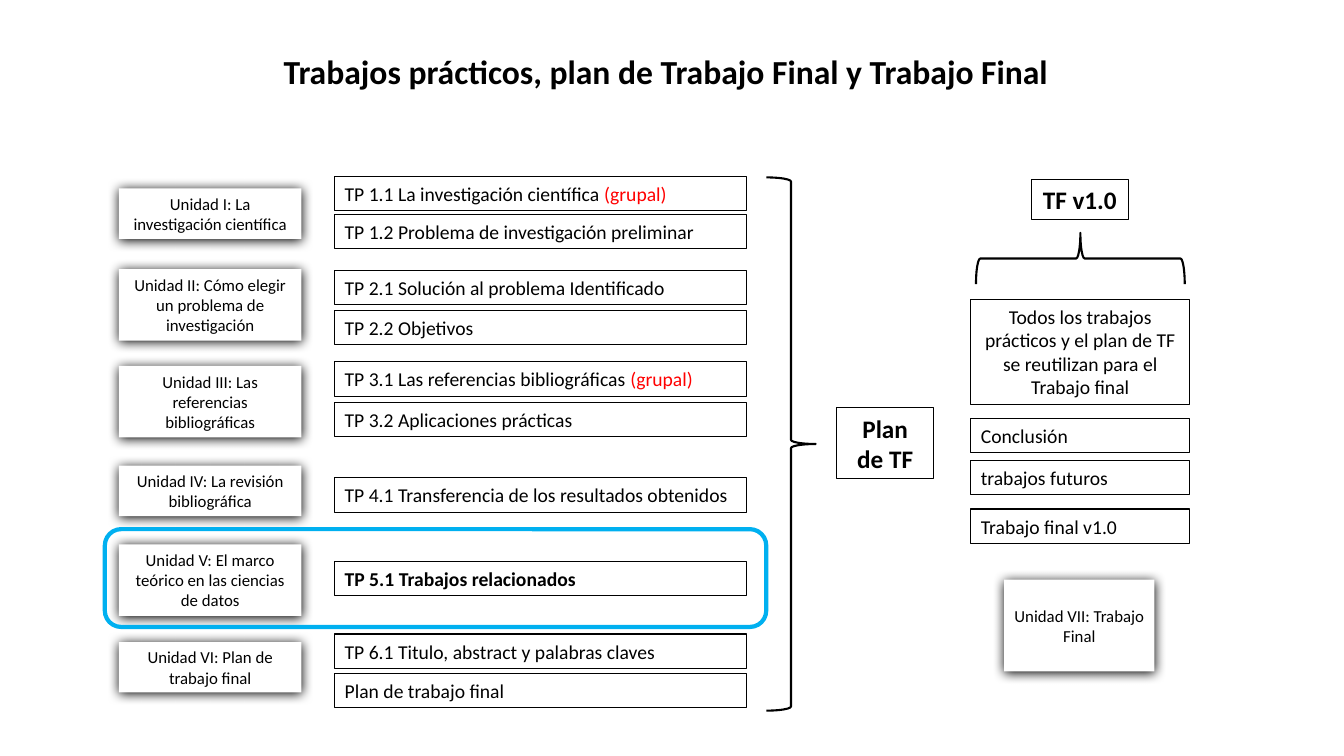
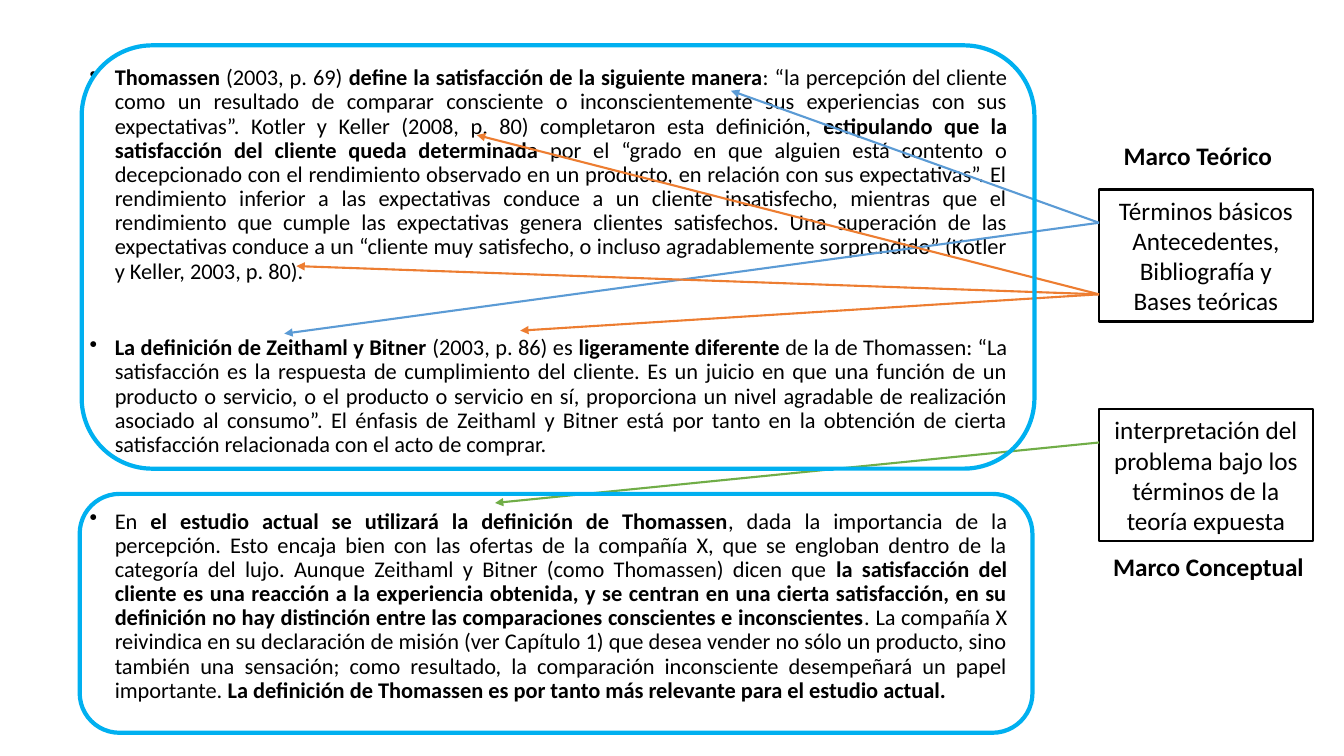
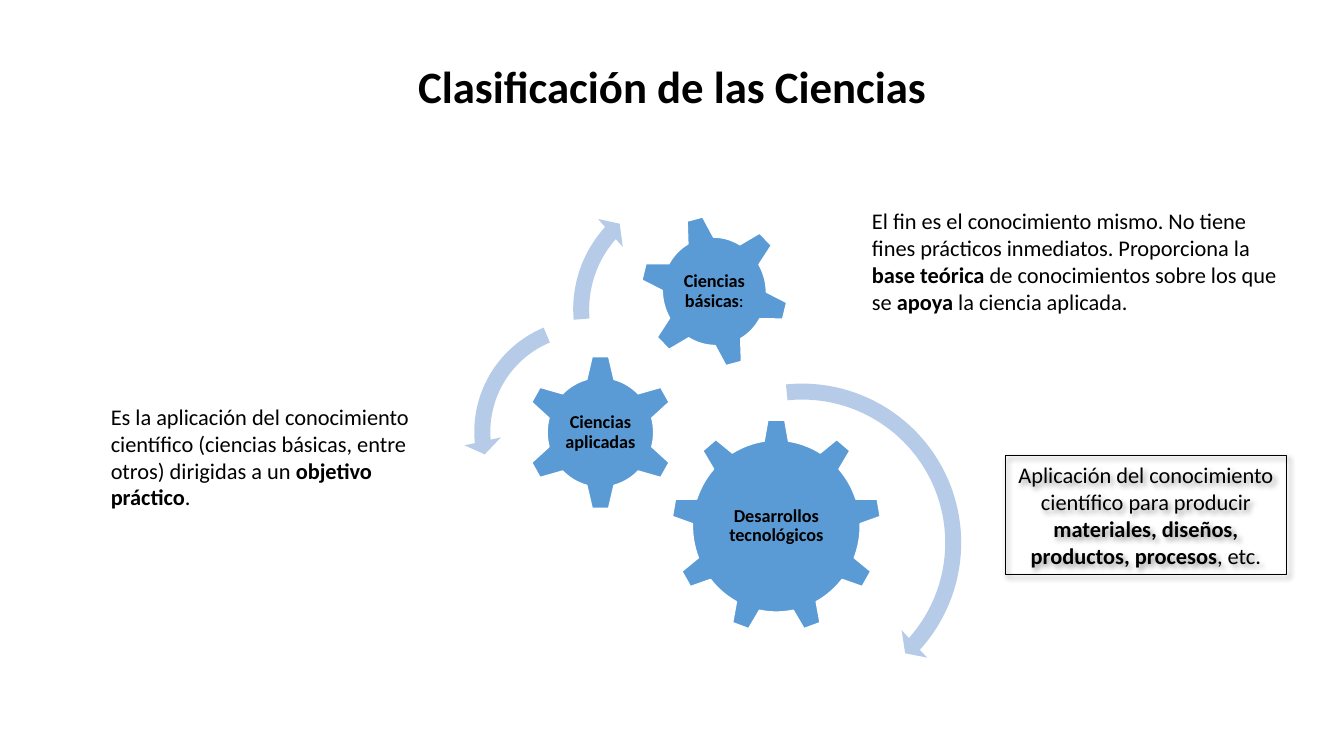
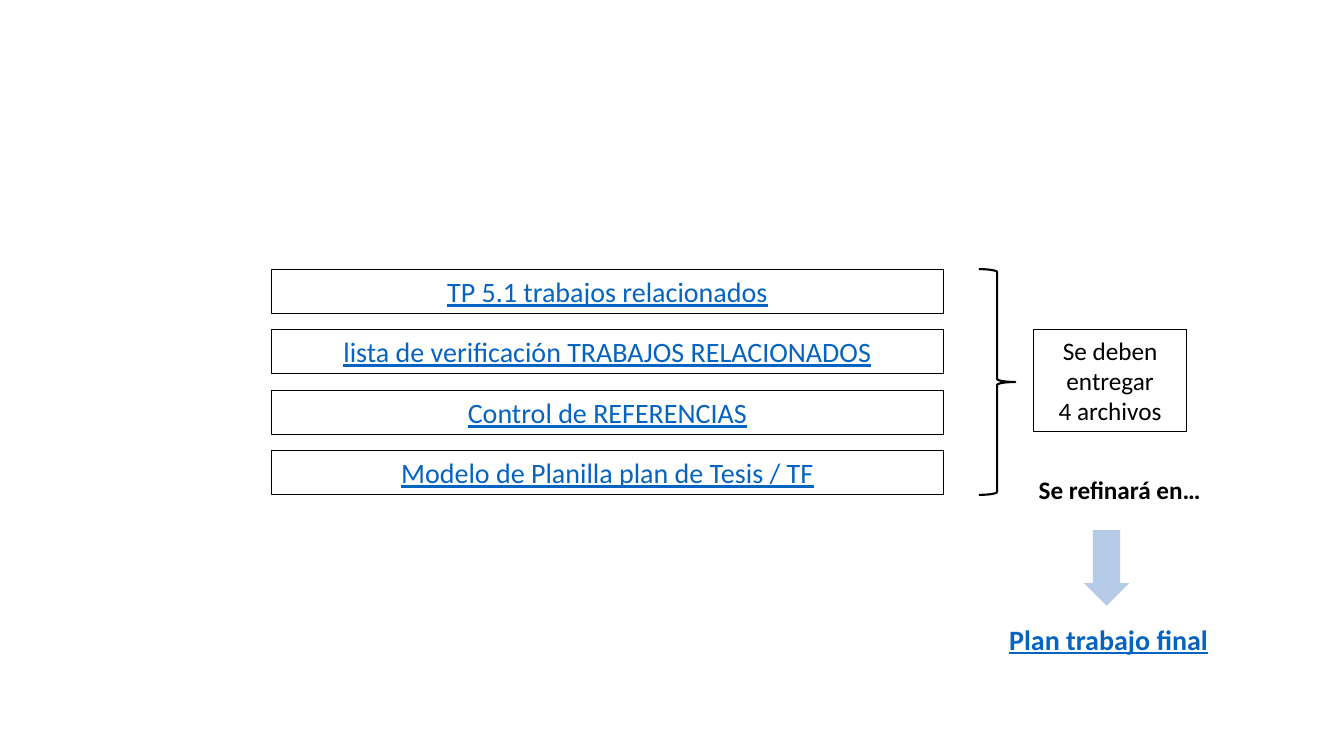
from collections import namedtuple

from lxml.etree import SubElement
from pptx import Presentation
from pptx.dml.color import RGBColor
from pptx.enum.shapes import MSO_CONNECTOR, MSO_SHAPE
from pptx.enum.text import MSO_ANCHOR, MSO_AUTO_SIZE, PP_ALIGN
from pptx.oxml.ns import qn
from pptx.util import Inches, Pt

FONT = "Calibri"
BLACK = RGBColor(0x00, 0x00, 0x00)
WHITE = RGBColor(0xFF, 0xFF, 0xFF)
RED = RGBColor(0xFF, 0x00, 0x00)
FRAME_BLUE = RGBColor(0x00, 0xB0, 0xF0)
BLUE = RGBColor(0x5B, 0x9B, 0xD5)
PALE_BLUE = RGBColor(0xB5, 0xCB, 0xE7)
ORANGE = RGBColor(0xED, 0x7D, 0x31)
GREEN = RGBColor(0x70, 0xAD, 0x47)
LINK_BLUE = RGBColor(0x05, 0x63, 0xC1)

TITLE_ONLY, BLANK = 5, 6

Run = namedtuple("Run", "text bold color underline", defaults=(False, BLACK, False))


def bold(text):
    return Run(text, bold=True)


def group_work(text):
    return [Run(text), Run("(grupal)", color=RED)]


def link(text, is_bold=False):
    return [Run(text, is_bold, LINK_BLUE, True)]


def write(shape, paragraphs, size, align=PP_ALIGN.LEFT, spacing=None, inset=None,
          anchor=MSO_ANCHOR.MIDDLE):
    """Fill a shape with paragraphs; each is a plain string or a list of runs."""
    frame = shape.text_frame
    frame.word_wrap = True
    frame.auto_size = MSO_AUTO_SIZE.NONE
    frame.vertical_anchor = anchor
    if inset is not None:
        frame.margin_left = frame.margin_right = Inches(inset)
        frame.margin_top = frame.margin_bottom = Inches(inset)
    for index, content in enumerate(paragraphs):
        paragraph = frame.add_paragraph() if index else frame.paragraphs[0]
        paragraph.alignment = align
        if spacing:
            paragraph.line_spacing = spacing
        for part in [Run(content)] if isinstance(content, str) else content:
            run = paragraph.add_run()
            run.text = part.text
            run.font.name = FONT
            run.font.size = Pt(size)
            run.font.bold = part.bold
            run.font.underline = part.underline
            run.font.color.rgb = part.color


def add_title(slide, text, size, left, top, width, height, spacing=None):
    title = slide.shapes.title
    title.left, title.top = Inches(left), Inches(top)
    title.width, title.height = Inches(width), Inches(height)
    write(title, [[bold(text)]], size, PP_ALIGN.CENTER, spacing)


def add_figure(slide, kind, left, top, width, height, fill=None, line=None, weight=0.75):
    shape = slide.shapes.add_shape(
        kind, Inches(left), Inches(top), Inches(width), Inches(height))
    shape.shadow.inherit = False
    if fill is None:
        shape.fill.background()
    else:
        shape.fill.solid()
        shape.fill.fore_color.rgb = fill
    if line is None:
        shape.line.fill.background()
    else:
        shape.line.color.rgb = line
        shape.line.width = Pt(weight)
    return shape


def add_shadow(shape, opacity, blur, distance, angle):
    """Give a shape a black outer shadow (percent, points, points, degrees)."""
    effects = shape._element.spPr.find(qn("a:effectLst"))
    shadow = SubElement(effects, qn("a:outerShdw"), blurRad=str(Pt(blur)),
                        dist=str(Pt(distance)), dir=str(angle * 60000), rotWithShape="0")
    color = SubElement(shadow, qn("a:srgbClr"), val=str(BLACK))
    SubElement(color, qn("a:alpha"), val=str(opacity * 1000))


def add_box(slide, left, top, width, height, paragraphs, size,
            align=PP_ALIGN.CENTER, weight=0.75):
    box = add_figure(slide, MSO_SHAPE.RECTANGLE, left, top, width, height,
                     line=BLACK, weight=weight)
    write(box, paragraphs, size, align)
    return box


def add_unit(slide, left, top, width, height, text):
    unit = add_figure(slide, MSO_SHAPE.RECTANGLE, left, top, width, height, fill=WHITE)
    add_shadow(unit, 100, 8.5, 1, 90)
    write(unit, [text], 12, PP_ALIGN.CENTER)


def add_brace(slide, kind, left, top, width, height):
    return add_figure(slide, kind, left, top, width, height, line=BLACK, weight=1.5)


def add_highlight(slide, left, top, width, height):
    add_figure(slide, MSO_SHAPE.ROUNDED_RECTANGLE, left, top, width, height,
               line=FRAME_BLUE, weight=3)


def add_text(slide, left, top, width, height, paragraphs, size, **layout):
    box = slide.shapes.add_textbox(Inches(left), Inches(top), Inches(width), Inches(height))
    write(box, paragraphs, size, **layout)
    return box


def add_arrow(slide, start, end, color):
    points = [Inches(value) for value in (*start, *end)]
    arrow = slide.shapes.add_connector(MSO_CONNECTOR.STRAIGHT, *points)
    arrow.line.color.rgb = color
    arrow.line.width = Pt(1.5)
    SubElement(arrow.line._get_or_add_ln(), qn("a:tailEnd"), type="triangle")
    SubElement(arrow._element.spPr, qn("a:effectLst"))


def add_bullets(text_box, indent, gap):
    for index, paragraph in enumerate(text_box.text_frame.paragraphs):
        properties = paragraph._p.get_or_add_pPr()
        properties.set("marL", str(Inches(indent)))
        properties.set("indent", str(-Inches(indent)))
        SubElement(properties, qn("a:buChar"), char="•")
        if index:
            paragraph.space_before = Pt(gap)


def set_adjustments(shape, values):
    for index, value in enumerate(values):
        shape.adjustments[index] = value


def build_assignments(presentation):
    slide = presentation.slides.add_slide(presentation.slide_layouts[TITLE_ONLY])
    add_title(slide, "Trabajos prácticos, plan de Trabajo Final y Trabajo Final", 24,
              2.37, 0.45, 8.47, 0.5)

    assignments = [
        (1.75, group_work("TP 1.1 La investigación científica ")),
        (2.13, "TP 1.2 Problema de investigación preliminar"),
        (2.68, "TP 2.1 Solución al problema Identificado"),
        (3.08, "TP 2.2 Objetivos"),
        (3.59, group_work("TP 3.1 Las referencias bibliográficas ")),
        (3.99, "TP 3.2 Aplicaciones prácticas"),
        (4.74, "TP 4.1 Transferencia de los resultados obtenidos"),
        (5.57, [bold("TP 5.1 Trabajos relacionados")]),
        (6.29, "TP 6.1 Titulo, abstract y palabras claves"),
        (6.68, "Plan de trabajo final"),
    ]
    for top, content in assignments:
        add_box(slide, 3.32, top, 4.08, 0.34, [content], 14, PP_ALIGN.LEFT)

    final_parts = [(4.15, "Conclusión"), (4.57, "trabajos futuros"),
                   (5.05, "Trabajo final v1.0")]
    for top, content in final_parts:
        add_box(slide, 9.63, top, 2.17, 0.34, [content], 14, PP_ALIGN.LEFT)

    add_brace(slide, MSO_SHAPE.RIGHT_BRACE, 7.6, 1.76, 0.49, 5.29)
    add_box(slide, 8.3, 4.04, 0.96, 0.71, [[bold("Plan")], [bold("de TF")]], 18)
    add_box(slide, 10.23, 1.78, 0.96, 0.4, [[bold("TF v1.0")]], 18)
    add_brace(slide, MSO_SHAPE.LEFT_BRACE, 10.46, 1.53, 0.51, 2.07).rotation = 90
    add_box(slide, 9.63, 2.97, 2.17, 1.04,
            ["Todos los trabajos prácticos y el plan de TF se reutilizan "
             "para el Trabajo final"], 14)

    units = [
        (1.87, 0.5, "Unidad I: La investigación científica"),
        (2.67, 0.71, "Unidad II: Cómo elegir un problema de investigación"),
        (3.63, 0.71, "Unidad III: Las referencias bibliográficas"),
        (4.62, 0.5, "Unidad IV: La revisión bibliográfica"),
        (5.4, 0.71, "Unidad V: El marco teórico en las ciencias de datos"),
        (6.37, 0.5, "Unidad VI: Plan de trabajo final"),
    ]
    for top, height, text in units:
        add_unit(slide, 1.18, top, 1.81, height, text)
    add_unit(slide, 9.96, 5.75, 1.49, 0.91, "Unidad VII: Trabajo Final")
    add_highlight(slide, 1.04, 5.25, 6.56, 0.97)


def build_framework(presentation):
    slide = presentation.slides.add_slide(presentation.slide_layouts[BLANK])
    definitions = [
        [bold("Thomassen"), Run(" (2003, p. 69) "),
         bold("define la satisfacción de la siguiente manera"),
         Run(": “la percepción del cliente como un resultado de comparar consciente o "
             "inconscientemente sus experiencias con sus expectativas”. Kotler y Keller "
             "(2008, p. 80) completaron esta definición, "),
         bold("estipulando que la satisfacción del cliente queda determinada"),
         Run(" por el “grado en que alguien está contento o decepcionado con el rendimiento "
             "observado en un producto, en relación con sus expectativas”. El rendimiento "
             "inferior a las expectativas conduce a un cliente insatisfecho, mientras que el "
             "rendimiento que cumple las expectativas genera clientes satisfechos. Una "
             "superación de las expectativas conduce a un “cliente muy satisfecho, o incluso "
             "agradablemente sorprendido” (Kotler y Keller, 2003, p. 80).")],
        [bold("La definición de Zeithaml y Bitner "), Run("(2003, p. 86) es "),
         bold("ligeramente diferente "),
         Run("de la de Thomassen: “La satisfacción es la respuesta de cumplimiento del "
             "cliente. Es un juicio en que una función de un producto o servicio, o el "
             "producto o servicio en sí, proporciona un nivel agradable de realización "
             "asociado al consumo”. El énfasis de Zeithaml y Bitner está por tanto en la "
             "obtención de cierta satisfacción relacionada con el acto de comprar.")],
        [Run("En "), bold("el estudio actual se utilizará la definición de Thomassen"),
         Run(", dada la importancia de la percepción. Esto encaja bien con las ofertas de la "
             "compañía X, que se engloban dentro de la categoría del lujo. Aunque Zeithaml y "
             "Bitner (como Thomassen) dicen que "),
         bold("la satisfacción del cliente es una reacción a la experiencia obtenida, y se "
              "centran en una cierta satisfacción, en su definición no hay distinción entre "
              "las comparaciones conscientes e inconscientes"),
         Run(". La compañía X reivindica en su declaración de misión (ver Capítulo 1) que "
             "desea vender no sólo un producto, sino también una sensación; como resultado, "
             "la comparación inconsciente desempeñará un papel importante. "),
         bold("La definición de Thomassen es por tanto más relevante para el estudio "
              "actual.")],
    ]
    body = add_text(slide, 0.79, 0.61, 9.3, 6.5, definitions, 16, align=PP_ALIGN.JUSTIFY,
                    spacing=0.9, anchor=MSO_ANCHOR.TOP)
    add_bullets(body, 0.25, 37.5)

    theory = ["Términos básicos", "Antecedentes,", "Bibliografía y", "Bases teóricas"]
    concept = ["interpretación del problema bajo los términos de la teoría expuesta"]
    for top, paragraphs in ((1.88, theory), (4.06, concept)):
        add_box(slide, 10.9, top, 2.12, 1.31, paragraphs, 18, weight=1.5)

    arrow_fans = [
        (2.21, BLUE, [(7.25, 0.9), (2.82, 3.31)]),
        (2.92, ORANGE, [(4.73, 1.34), (2.94, 2.64), (5.16, 3.28)]),
        (4.39, GREEN, [(4.91, 4.99)]),
    ]
    for start_top, color, targets in arrow_fans:
        for target in targets:
            add_arrow(slide, (10.9, start_top), target, color)

    for left, top, width, text in ((10.82, 1.29, 2.12, "Marco Teórico"),
                                   (10.64, 5.37, 2.69, "Marco Conceptual")):
        add_text(slide, left, top, width, 0.45, [[bold(text)]], 18,
                 align=PP_ALIGN.CENTER, spacing=1.15)
    add_highlight(slide, 0.81, 0.45, 9.45, 4.2)
    add_highlight(slide, 0.79, 4.9, 9.45, 2.37)


def build_sciences(presentation):
    slide = presentation.slides.add_slide(presentation.slide_layouts[TITLE_ONLY])
    add_title(slide, "Clasificación de las Ciencias", 32, 0.92, 0.4, 11.5, 0.97, 0.9)

    gears = [
        (MSO_SHAPE.GEAR_9, (6.66, 4.16, 2.08, 2.12), 0, 1.24,
         [bold("Desarrollos tecnológicos")]),
        (MSO_SHAPE.GEAR_6, (5.2, 3.52, 1.51, 1.54), 0, 0.75, [bold("Ciencias aplicadas")]),
        (MSO_SHAPE.GEAR_6, (6.35, 2.13, 1.47, 1.52), 345, 0.83,
         [bold("Ciencias básicas"), Run(":")]),
    ]
    for kind, (left, top, width, height), rotation, label_width, label in gears:
        gear = add_figure(slide, kind, left, top, width, height, BLUE, WHITE, 1)
        gear.rotation = rotation
        label_height = 0.8
        add_text(slide, left + (width - label_width) / 2,
                 top + (height - label_height) / 2, label_width, label_height,
                 [label], 13, align=PP_ALIGN.CENTER, spacing=0.9, inset=0.02)

    turns = [
        (MSO_SHAPE.CIRCULAR_ARROW, 6.27, 3.7, 3.37, (0.047, 2.99, 25.204, 158.522, 0.055)),
        (MSO_SHAPE.LEFT_CIRCULAR_ARROW, 4.6, 3.06, 2.45,
         (0.065, 4.3, 104.891, 148.378, 0.075)),
        (MSO_SHAPE.CIRCULAR_ARROW, 5.58, 1.75, 2.64, (0.06, 3.941, 133.138, 105.082, 0.07)),
    ]
    for kind, left, top, side, adjustments in turns:
        turn = add_figure(slide, kind, left, top, side, side, PALE_BLUE)
        set_adjustments(turn, adjustments)

    add_text(slide, 8.55, 2, 4.21, 1.18, [[
        Run("El fin es el conocimiento mismo. No tiene fines prácticos inmediatos. "
            "Proporciona la "),
        bold("base teórica "), Run("de conocimientos sobre los que se "), bold("apoya"),
        Run(" la ciencia aplicada.")]], 16)
    add_text(slide, 1, 3.94, 3.41, 1.18, [[
        Run("Es la aplicación del conocimiento científico (ciencias básicas, entre otros) "
            "dirigidas a un "),
        bold("objetivo práctico"), Run(".")]], 16)
    technology = add_box(slide, 9.97, 4.52, 2.79, 1.18, [[
        Run("Aplicación del conocimiento científico para producir "),
        bold("materiales, diseños, productos, procesos"), Run(", etc.")]], 16, weight=1)
    add_shadow(technology, 40, 4, 3, 45)


def build_deliverables(presentation):
    slide = presentation.slides.add_slide(presentation.slide_layouts[BLANK])
    files = ["TP 5.1 trabajos relacionados", "lista de verificación TRABAJOS RELACIONADOS",
             "Control de REFERENCIAS", "Modelo de Planilla plan de Tesis / TF"]
    for index, name in enumerate(files):
        add_box(slide, 2.69, 2.67 + index * 0.6, 6.67, 0.44, [link(name)], 20)

    add_brace(slide, MSO_SHAPE.RIGHT_BRACE, 9.71, 2.67, 0.36, 2.24)
    add_box(slide, 10.25, 3.27, 1.52, 1.01, ["Se deben entregar", "4 archivos"], 18)
    add_text(slide, 9.85, 4.66, 2.51, 0.4, [[bold("Se refinará en…")]], 18,
             align=PP_ALIGN.CENTER)
    down_arrow = add_figure(slide, MSO_SHAPE.DOWN_ARROW, 10.75, 5.26, 0.45, 0.75, PALE_BLUE)
    set_adjustments(down_arrow, (0.6, 0.5))
    add_text(slide, 9.74, 6.12, 2.51, 0.44, [link("Plan trabajo final", True)], 20,
             align=PP_ALIGN.CENTER)


def main():
    presentation = Presentation()
    presentation.slide_width = Inches(13.33)
    presentation.slide_height = Inches(7.5)
    build_assignments(presentation)
    build_framework(presentation)
    build_sciences(presentation)
    build_deliverables(presentation)
    presentation.save("out.pptx")


if __name__ == "__main__":
    main()
